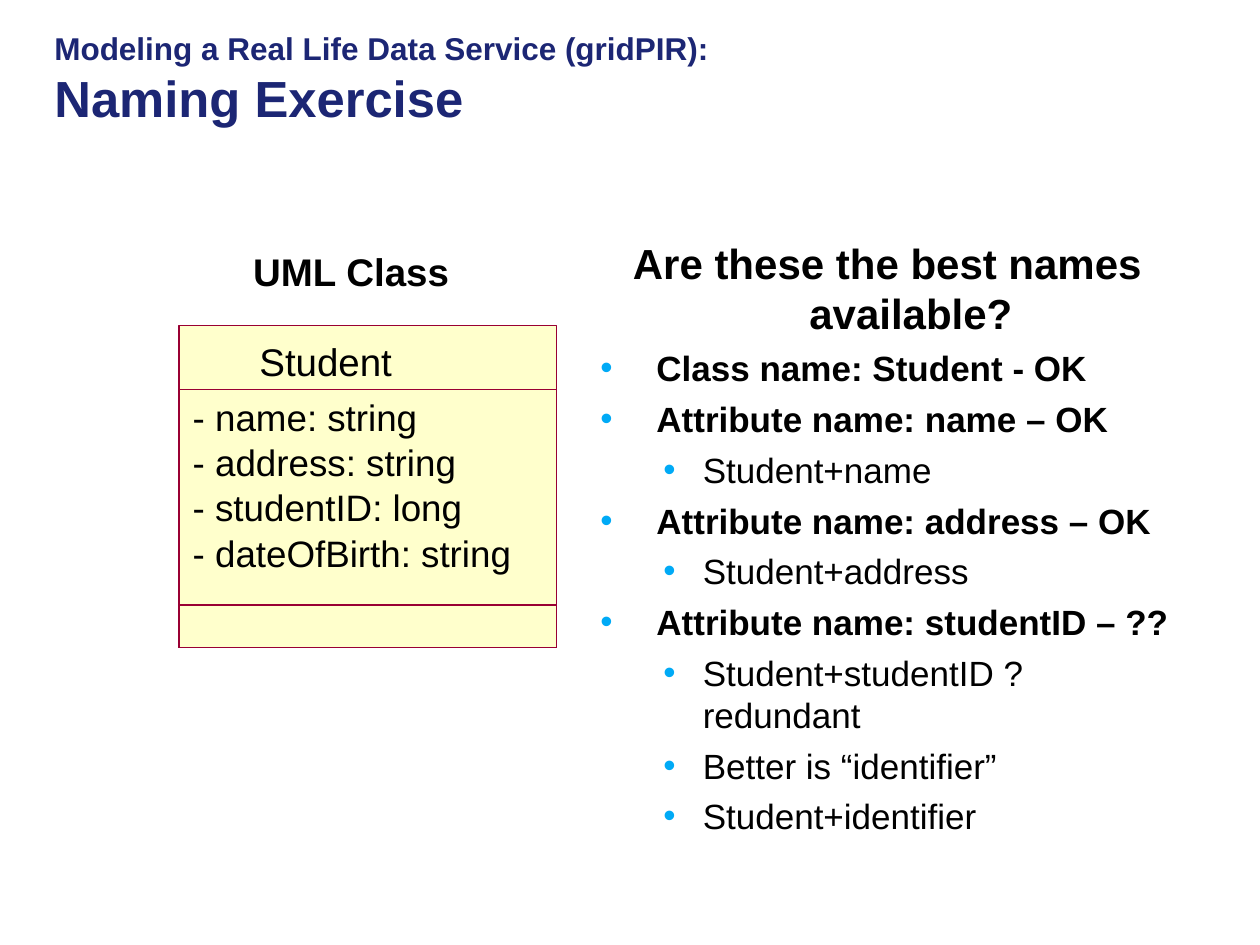
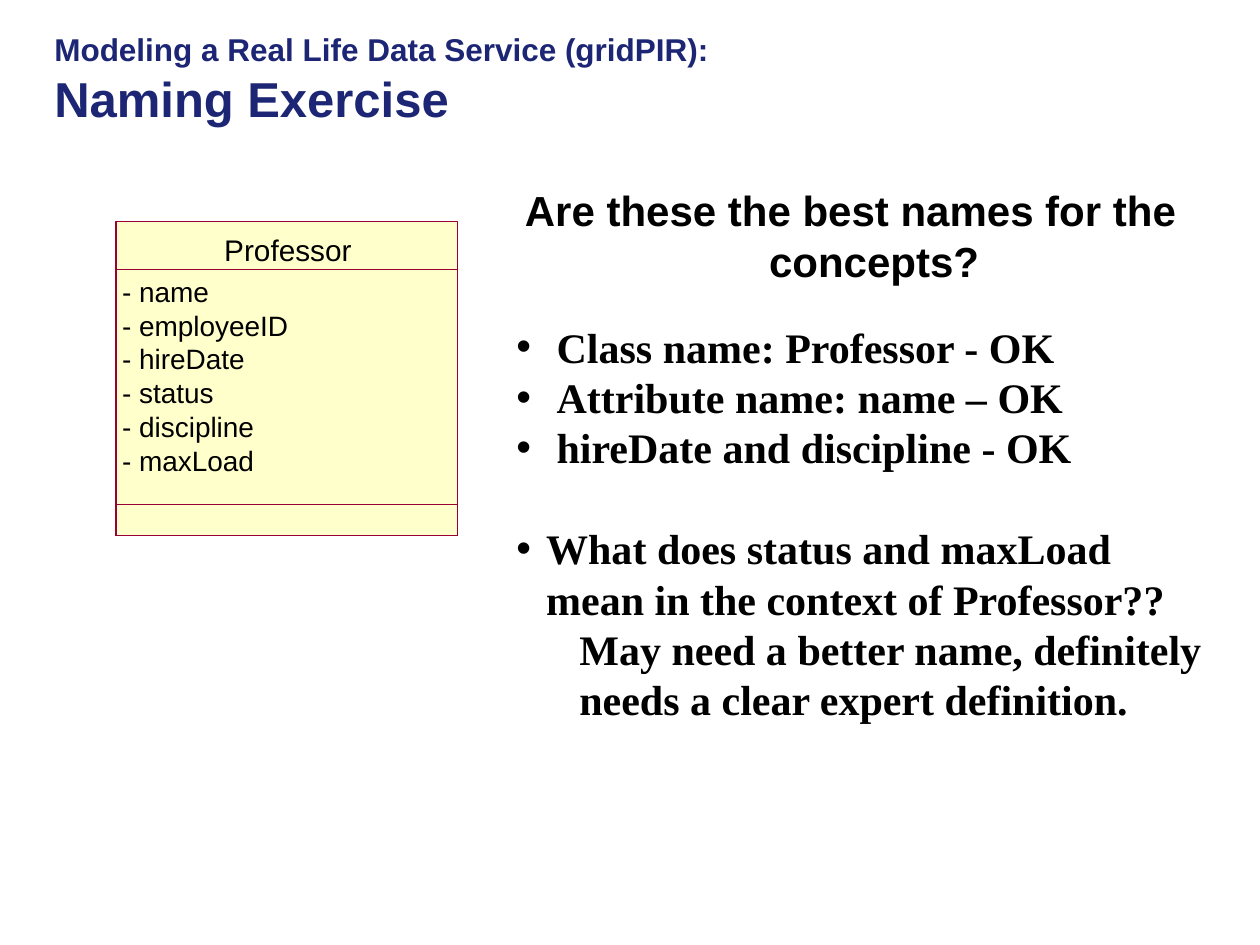
from dataclasses import dataclass

from lxml import etree
from pptx import Presentation
from pptx import util as u
from pptx.dml.color import RGBColor
from pptx.enum import shapes, text
from pptx.oxml import ns

Pt = u.Pt


# Theme
@dataclass(frozen=True)
class Theme:
    sans: str = "Arial"
    serif: str = "Times New Roman"
    navy: str = "1C2674"
    ink: str = "000000"
    sky: str = "00AAF6"
    cream: str = "FFFFCC"
    maroon: str = "990033"
    kicker: int = 18
    question: int = 24
    caption: int = 22
    review: int = 20
    verdict: int = 24


THEME = Theme()
INSET = (7.2, 3.6, 7.2, 3.6)

# Content: boxes are left, top, width, height
KICKER, TOPIC = "Modeling a Real Life Data Service (gridPIR):", "Naming Exercise"
TITLE_BOX = (24, 0, 540, 90)

STUDENT = {
    "name": "Student",
    "attributes": ["name: string", "address: string", "studentID: long", "dateOfBirth: string"],
    "box": (102.24, 185.9, 216, 184.3),
    "header": 36.5, "footer": 24.5,
    "name_at": (46, 7), "name_size": 22,
    "rows_at": (7.9, 39.5), "row_pitch": 25.92, "row_size": 21,
}
PROFESSOR = {
    "name": "Professor",
    "attributes": ["name", "employeeID", "hireDate", "status", "discipline", "maxLoad"],
    "box": (66.24, 126.8, 195.1, 179.2),
    "header": 27.2, "footer": 17.6,
    "name_at": (61.9, 5.7), "name_size": 17,
    "rows_at": (3.6, 30), "row_pitch": 19.3, "row_size": 16,
}

CAPTION, CAPTION_BOX = "UML Class", (144.72, 141.84, 120, 26.64)
STUDENT_QUESTION = "Are these the best names available?"
STUDENT_REVIEW_BOX = (336, 132, 342, 372)
STUDENT_REVIEW = [
    ("Class name: Student - OK", []),
    ("Attribute name: name – OK", ["Student+name"]),
    ("Attribute name: address – OK", ["Student+address"]),
    ("Attribute name: studentID – ??",
     ["Student+studentID ? redundant", "Better is “identifier”", "Student+identifier"]),
]

PROFESSOR_QUESTION = "Are these the best names for the concepts?"
PROFESSOR_QUESTION_BOX = (282, 102, 408, 66)
PROFESSOR_REVIEW_BOX = (288, 180, 408, 324)
AGREED = ["Class name: Professor - OK", "Attribute name: name – OK",
          "hireDate and discipline - OK"]
OPEN_POINT = "What does status and maxLoad mean in the context of Professor??"
ADVICE = "May need a better name, definitely needs a clear expert definition."


# Text helpers
def style(paragraph, size, color=THEME.ink, bold=False, font=THEME.sans):
    for run in paragraph.runs:
        run.font.name, run.font.size, run.font.bold = font, Pt(size), bold
        run.font.color.rgb = RGBColor.from_string(color)


def add_frame(parent, box, inset=(0, 0, 0, 0)):
    frame = parent.add_textbox(*map(Pt, box)).text_frame
    frame.word_wrap = True
    (frame.margin_left, frame.margin_top,
     frame.margin_right, frame.margin_bottom) = map(Pt, inset)
    return frame


def add_label(parent, box, label, size, bold=False):
    frame = add_frame(parent, box)
    frame.text = label
    style(frame.paragraphs[0], size, bold=bold)


def add_paragraph(frame, words, margin, hang=0, bullet=None, before=0, level=0, **look):
    """Fill the empty first paragraph, or append one, with an optional bullet."""
    first = frame.paragraphs[0]
    paragraph = frame.add_paragraph() if first.runs else first
    paragraph.text = words
    paragraph.level = level
    if before:
        paragraph.space_before = Pt(before)
    props = paragraph._p.get_or_add_pPr()
    props.set("marL", str(Pt(margin)))
    props.set("indent", str(-Pt(hang)))
    if bullet:
        color = etree.SubElement(props, ns.qn("a:buClr"))
        etree.SubElement(color, ns.qn("a:srgbClr"), val=bullet)
        etree.SubElement(props, ns.qn("a:buFont"), typeface=THEME.sans)
        etree.SubElement(props, ns.qn("a:buChar"), char="•")
    style(paragraph, **look)
    return paragraph


# Shared parts
def add_title(slide, topic_size):
    frame = add_frame(slide.shapes, TITLE_BOX, INSET)
    frame.vertical_anchor = text.MSO_ANCHOR.MIDDLE
    title = frame.paragraphs[0]
    title.text = f"{KICKER}\v{TOPIC}"
    style(title, THEME.kicker, THEME.navy, bold=True)
    title.runs[-1].font.size = Pt(topic_size)


def add_question(frame, question):
    paragraph = add_paragraph(frame, question, 27, 27, size=THEME.question, bold=True)
    paragraph.alignment = text.PP_ALIGN.CENTER


def add_compartment(group, box, fill=None):
    compartment = group.add_shape(shapes.MSO_SHAPE.RECTANGLE, *map(Pt, box))
    compartment.shadow.inherit = False
    if fill:
        compartment.fill.solid()
        compartment.fill.fore_color.rgb = RGBColor.from_string(fill)
    else:
        compartment.fill.background()
    compartment.line.color.rgb = RGBColor.from_string(THEME.maroon)
    compartment.line.width = Pt(0)


def add_uml_class(slide, uml):
    group = slide.shapes.add_group_shape().shapes
    left, top, width, height = uml["box"]
    header, footer = uml["header"], uml["footer"]
    add_compartment(group, uml["box"], THEME.cream)
    add_compartment(group, (left, top + header, width, height - header))
    add_compartment(group, (left, top + height - footer, width, footer))

    dx, dy = uml["name_at"]
    add_label(group, (left + dx, top + dy, width - dx, uml["name_size"] * 1.2),
              uml["name"], uml["name_size"])
    dx, dy = uml["rows_at"]
    for row, attribute in enumerate(uml["attributes"]):
        add_label(group, (left + dx, top + dy + row * uml["row_pitch"],
                          width - dx, uml["row_size"] * 1.2),
                  f"- {attribute}", uml["row_size"])


# Slides
def build_student(slide):
    add_title(slide, 29)
    review = add_frame(slide.shapes, STUDENT_REVIEW_BOX, INSET)
    add_question(review, STUDENT_QUESTION)
    item = dict(bullet=THEME.sky, before=5, size=THEME.review)
    for finding, names in STUDENT_REVIEW:
        add_paragraph(review, finding, 32, 32, bold=True, **item)
        for name in names:
            add_paragraph(review, name, 58.5, 22.5, level=1, **item)
    add_label(slide.shapes, CAPTION_BOX, CAPTION, THEME.caption, bold=True)
    add_uml_class(slide, STUDENT)


def build_professor(slide):
    add_title(slide, 28)
    add_question(add_frame(slide.shapes, PROFESSOR_QUESTION_BOX, INSET), PROFESSOR_QUESTION)
    add_uml_class(slide, PROFESSOR)
    review = add_frame(slide.shapes, PROFESSOR_REVIEW_BOX, INSET)
    look = dict(size=THEME.verdict, bold=True, font=THEME.serif)
    for finding in AGREED:
        add_paragraph(review, finding, 23, 23, THEME.ink, **look)
    add_paragraph(review, OPEN_POINT, 17, 17, THEME.ink, before=28.8, **look)
    add_paragraph(review, ADVICE, 36, level=1, **look)


def main():
    deck = Presentation()
    deck.slide_width, deck.slide_height = Pt(720), Pt(540)
    for build in (build_student, build_professor):
        build(deck.slides.add_slide(deck.slide_layouts[6]))
    deck.save("out.pptx")


if __name__ == "__main__":
    main()
